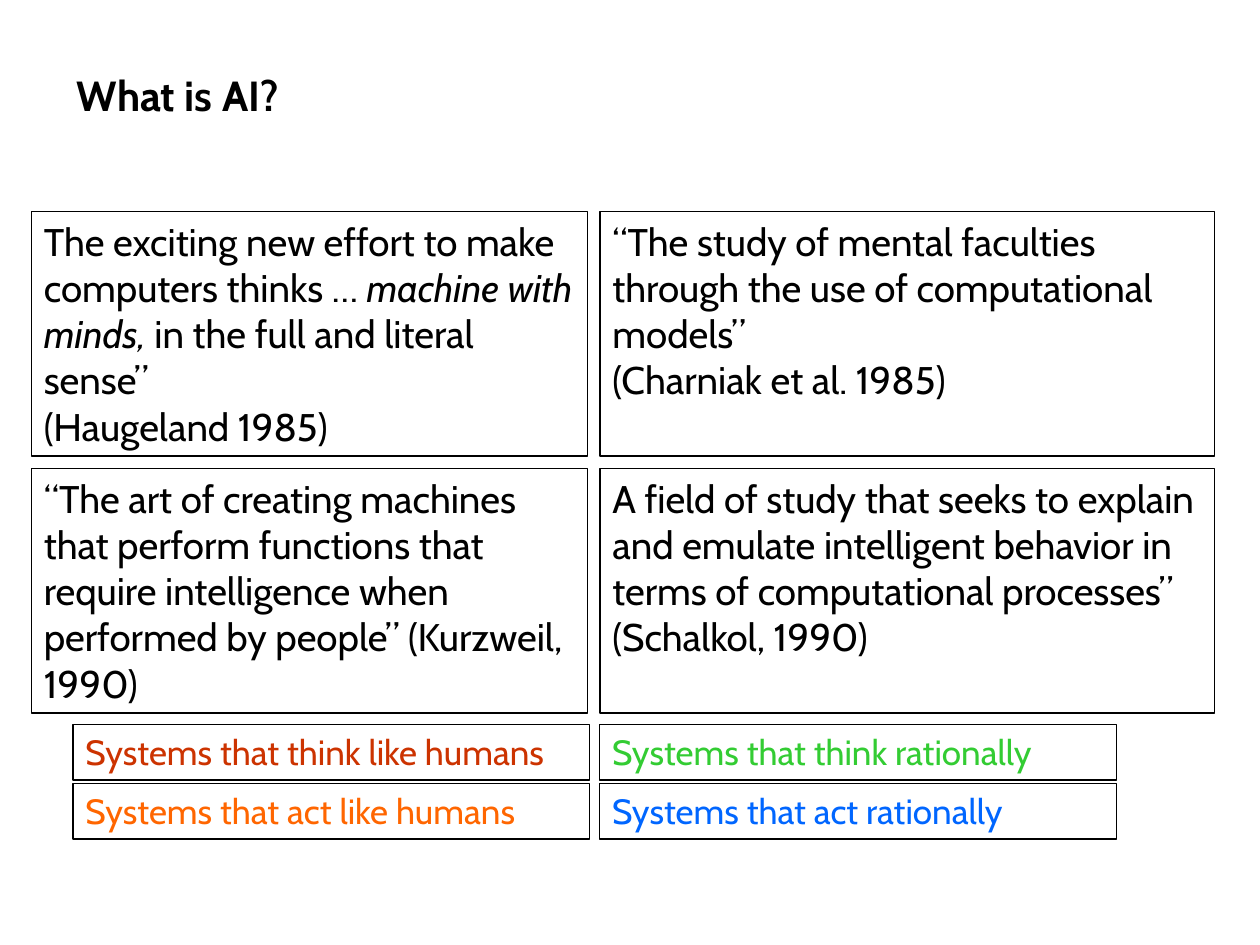
from dataclasses import dataclass

from pptx import Presentation
from pptx.dml.color import RGBColor
from pptx.enum import shapes, text
from pptx.util import Inches, Pt


@dataclass(frozen=True)
class Theme:
    font: str = "Cabin"
    ink: str = "000000"
    red: str = "CC3300"
    green: str = "33CC33"
    orange: str = "FF6600"
    blue: str = "0066FF"
    title: int = 24
    quote: int = 22
    label: int = 20
    border: float = 0.75


@dataclass(frozen=True)
class Box:
    x: float
    y: float
    w: float
    h: float

    def emu(self):
        return [Inches(v) for v in (self.x, self.y, self.w, self.h)]

    def cell(self, col, row, gap_x, gap_y, split=0.5):
        w, h = self.w - gap_x, (self.h - gap_y) / 2
        widths = (w * split, w * (1 - split))
        x = self.x + col * (widths[0] + gap_x)
        return Box(x, self.y + row * (h + gap_y), widths[col], h)


T = Theme()
W, H = 10, 7.5

QUOTES = [
    [
        [
            [("The exciting new effort to make computers thinks … ", False),
             ("machine with minds,", True),
             (" in the full and literal sense”", False)],
            [("(Haugeland 1985)", False)],
        ],
        [
            [("“The study of mental faculties through the use of "
              "computational models”", False)],
            [("(Charniak et al. 1985)", False)],
        ],
    ],
    [
        [[("“The art of creating machines that perform functions that require "
           "intelligence when performed by people” (Kurzweil, 1990)", False)]],
        [[("A field of study that seeks to explain and emulate intelligent "
           "behavior in terms of computational processes” (Schalkol, 1990)",
           False)]],
    ],
]

LABELS = [
    [("Systems that think like humans", T.red),
     ("Systems that think rationally", T.green)],
    [("Systems that act like humans", T.orange),
     ("Systems that act rationally", T.blue)],
]


def write(sp, paragraphs, size, color=T.ink, bold=False,
          anchor=text.MSO_ANCHOR.TOP):
    tf = sp.text_frame
    frame = {"word_wrap": True, "vertical_anchor": anchor,
             "auto_size": text.MSO_AUTO_SIZE.NONE}
    for name, value in frame.items():
        setattr(tf, name, value)
    for i, runs in enumerate(paragraphs):
        p = tf.paragraphs[0] if i == 0 else tf.add_paragraph()
        p.alignment = text.PP_ALIGN.LEFT
        for words, italic in runs:
            r = p.add_run()
            r.text = words
            font = {"name": T.font, "size": Pt(size), "bold": bold,
                    "italic": italic}
            for name, value in font.items():
                setattr(r.font, name, value)
            r.font.color.rgb = RGBColor.from_string(color)


def framed(s, box, paragraphs, size, color=T.ink):
    sp = s.shapes.add_shape(shapes.MSO_SHAPE.RECTANGLE, *box.emu())
    sp.shadow.inherit = False
    sp.fill.background()
    sp.line.color.rgb = RGBColor.from_string(T.ink)
    sp.line.width = Pt(T.border)
    write(sp, paragraphs, size, color)


def add_title(s, box):
    sp = s.shapes.add_textbox(*box.emu())
    write(sp, [[("What is AI?", False)]], T.title, bold=True,
          anchor=text.MSO_ANCHOR.BOTTOM)


def add_quotes(s, box):
    for row, cells in enumerate(QUOTES):
        for col, paragraphs in enumerate(cells):
            cell = box.cell(col, row, 0.1, 0.1, split=0.475)
            framed(s, cell, paragraphs, T.quote)


def add_labels(s, box):
    for row, cells in enumerate(LABELS):
        for col, (words, color) in enumerate(cells):
            cell = box.cell(col, row, 0.08, 0.03)
            framed(s, cell, [[(words, False)]], T.label, color)


def main():
    prs = Presentation()
    prs.slide_width, prs.slide_height = Inches(W), Inches(H)
    s = prs.slides.add_slide(prs.slide_layouts[6])
    add_title(s, Box(0.51, 0.25, 8.92, 0.75))
    add_quotes(s, Box(0.25, 1.68, 9.39, 3.98))
    add_labels(s, Box(0.58, 5.75, 8.28, 0.91))
    prs.save("out.pptx")


if __name__ == "__main__":
    main()
